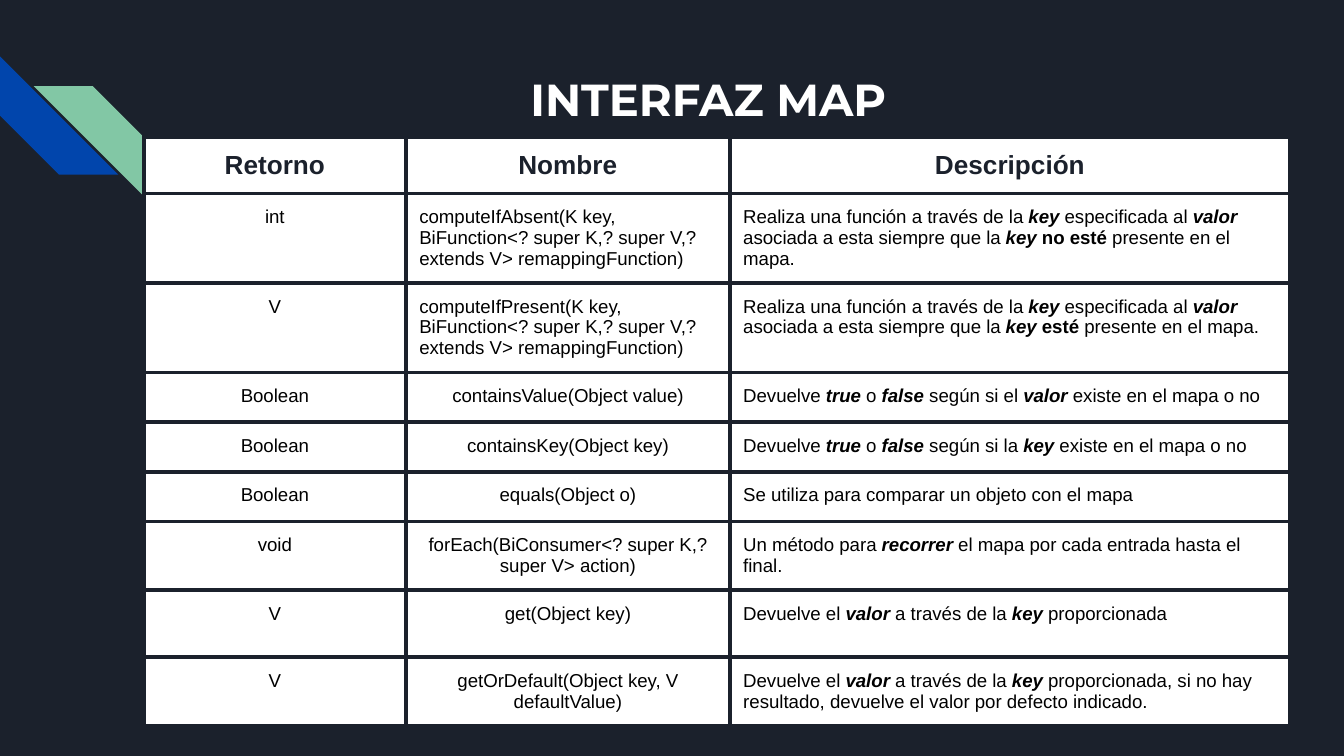
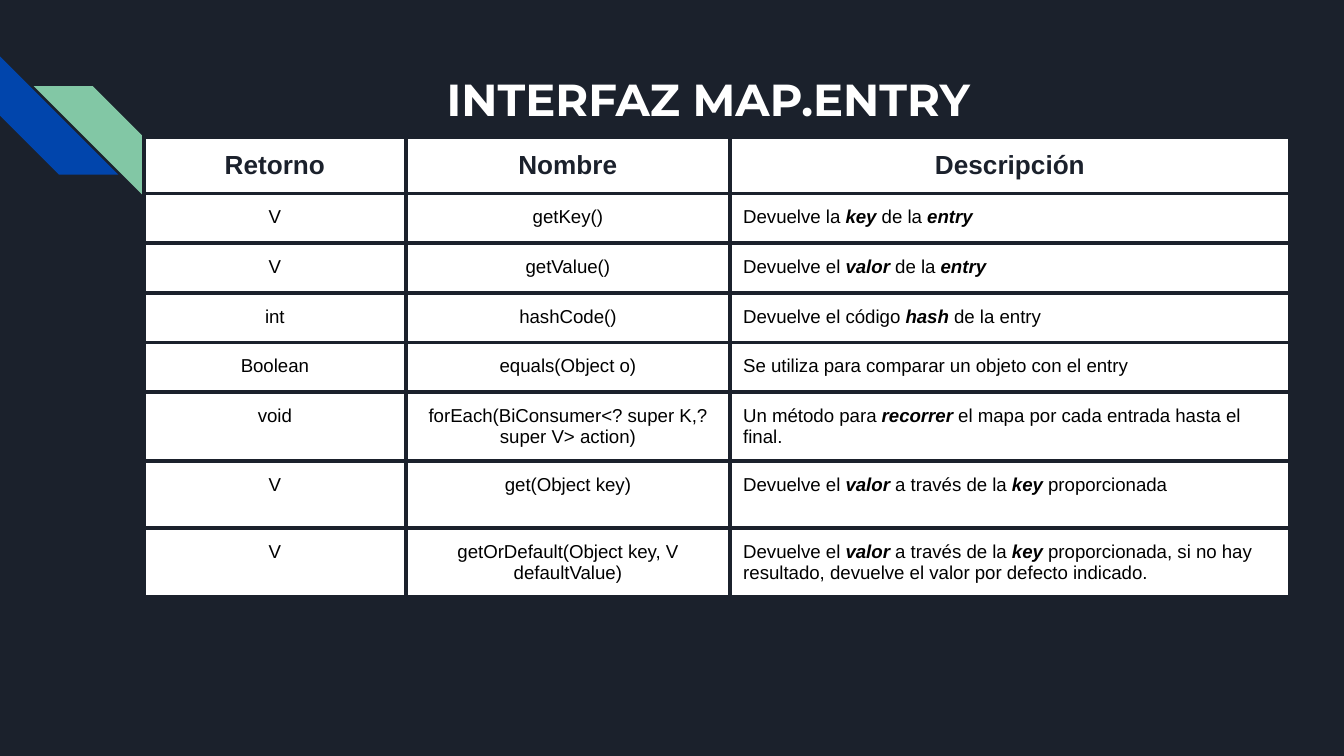
from lxml import etree
from pptx import Presentation
from pptx.dml.color import RGBColor
from pptx.enum.shapes import MSO_SHAPE
from pptx.enum.text import MSO_ANCHOR, MSO_AUTO_SIZE, PP_ALIGN
from pptx.oxml.ns import qn
from pptx.util import Inches, Pt

STRIPE = MSO_SHAPE.DIAGONAL_STRIPE
LEFT, CENTER = PP_ALIGN.LEFT, PP_ALIGN.CENTER
NAVY, WHITE, BLACK = "1B212C", "FFFFFF", "000000"
BLUE, GREEN = "0145AC", "82C7A5"

# Stripes: left, top, rotation, mirrored, colour
STRIPES = [(0, 0.42, 270, False, BLUE), (0.25, 0.64, 0, True, GREEN)]
STRIPE_SIZE = 0.88

COLUMN_WIDTHS = [1.95, 2.41, 4.17]
HEADER_HEIGHT, ROW_HEIGHT, TALL_ROW_HEIGHT = 0.41, 0.37, 0.5
HEADER = ("Retorno", "Nombre", "Descripción")
TALL_METHOD = "get(Object key)"
LONG_NAME = 60

# Asterisks enclose bold italic text; after a slash it is bold only.
SHARED_METHODS = [
    ("void", "forEach(BiConsumer<? super K,? super V> action)",
     "Un método para *recorrer* el mapa por cada entrada hasta el final."),
    ("V", TALL_METHOD, "Devuelve el *valor* a través de la *key* proporcionada"),
    ("V", "getOrDefault(Object key, V defaultValue)",
     "Devuelve el *valor* a través de la *key* proporcionada, si no hay resultado, "
     "devuelve el valor por defecto indicado."),
]
MAP_METHODS = [
    ("int", "computeIfAbsent(K key, BiFunction<? super K,? super V,? extends V> remappingFunction)",
     "Realiza una función a través de la *key *especificada al *valor* asociada a esta "
     "siempre que la *key /no esté* presente en el mapa."),
    ("V", "computeIfPresent(K key, BiFunction<? super K,? super V,? extends V> remappingFunction)",
     "Realiza una función a través de la *key *especificada al *valor* asociada a esta "
     "siempre que la *key /esté *presente en el mapa."),
    ("Boolean", "containsValue(Object value)",
     "Devuelve *true* o *false* según si el *valor *existe en el mapa o no"),
    ("Boolean", "containsKey(Object key)",
     "Devuelve *true* o *false* según si la *key *existe en el mapa o no"),
    ("Boolean", "equals(Object o)", "Se utiliza para comparar un objeto con el mapa"),
]
ENTRY_METHODS = [
    ("V", "getKey()", "Devuelve la *key* de la *entry*"),
    ("V", "getValue()", "Devuelve el *valor* de la *entry*"),
    ("int", "hashCode()", "Devuelve el código *hash *de la entry"),
    ("Boolean", "equals(Object o)", "Se utiliza para comparar un objeto con el entry"),
]
SLIDES = [
    ("INTERFAZ MAP", MAP_METHODS + SHARED_METHODS),
    ("INTERFAZ MAP.ENTRY", ENTRY_METHODS + SHARED_METHODS),
]


def paint(fill, color):
    fill.solid()
    fill.fore_color.rgb = RGBColor.from_string(color)


def add_run(paragraph, text, font_name, size, color, bold, italic=False):
    run = paragraph.add_run()
    run.text = text
    values = {"name": font_name, "size": Pt(size), "bold": bold, "italic": italic}
    for attribute, value in values.items():
        setattr(run.font, attribute, value)
    run.font.color.rgb = RGBColor.from_string(color)


prs = Presentation()
prs.slide_width = Inches(10)
prs.slide_height = prs.slide_width * 9 // 16
paint(prs.slide_master.background.fill, NAVY)
title_only = prs.slide_layouts[5]

for heading, methods in SLIDES:
    slide = prs.slides.add_slide(title_only)

    for left, top, rotation, mirrored, color in STRIPES:
        stripe = slide.shapes.add_shape(STRIPE, Inches(left), Inches(top),
                                        Inches(STRIPE_SIZE), Inches(STRIPE_SIZE))
        stripe.rotation = rotation
        if mirrored:
            stripe._element.spPr.xfrm.set("flipH", "1")
        stripe.shadow.inherit = False
        stripe.line.fill.background()
        paint(stripe.fill, color)

    title = slide.shapes.title
    title.left, title.top = Inches(1.42), Inches(0.43)
    title.width, title.height = Inches(7.7), Inches(1)
    frame = title.text_frame
    frame.auto_size = MSO_AUTO_SIZE.NONE
    frame.vertical_anchor = MSO_ANCHOR.TOP
    for side in ("left", "top", "right", "bottom"):
        setattr(frame, f"margin_{side}", Inches(0.1))
    frame.paragraphs[0].alignment = CENTER
    add_run(frame.paragraphs[0], heading, "Montserrat", 24, WHITE, True)

    rows = [HEADER] + methods
    heights = [HEADER_HEIGHT] + [TALL_ROW_HEIGHT if name == TALL_METHOD else ROW_HEIGHT
                                 for _, name, _ in methods]
    table = slide.shapes.add_table(
        len(rows), len(HEADER), Inches(1.07), Inches(1.02),
        Inches(sum(COLUMN_WIDTHS)), Inches(sum(heights))).table
    table.horz_banding = False
    for column, width in zip(table.columns, COLUMN_WIDTHS):
        column.width = Inches(width)

    for row_index, (texts, height) in enumerate(zip(rows, heights)):
        table.rows[row_index].height = Inches(height)
        is_header = row_index == 0
        size, color = (14, NAVY) if is_header else (10, BLACK)
        for column_index, text in enumerate(texts):
            cell = table.cell(row_index, column_index)
            for side in ("left", "top", "right", "bottom"):
                setattr(cell, f"margin_{side}", Inches(0.1))
            properties = cell._tc.get_or_add_tcPr()
            for edge in ("a:lnL", "a:lnR", "a:lnT", "a:lnB"):
                border = etree.SubElement(properties, qn(edge), w=str(Pt(2.25)))
                border_fill = etree.SubElement(border, qn("a:solidFill"))
                etree.SubElement(border_fill, qn("a:srgbClr"), val=NAVY)
            paint(cell.fill, WHITE)

            paragraph = cell.text_frame.paragraphs[0]
            is_description = column_index == 2
            flush_left = not is_header and (is_description or len(text) > LONG_NAME)
            paragraph.alignment = LEFT if flush_left else CENTER
            for part_index, part in enumerate(text.split("*")):
                emphasised = part_index % 2 == 1
                first, _, upright = part.partition("/")
                for piece, italic in ((first, emphasised), (upright, False)):
                    if piece:
                        add_run(paragraph, piece, "Arial", size, color,
                                is_header or emphasised, italic)

prs.save("out.pptx")
